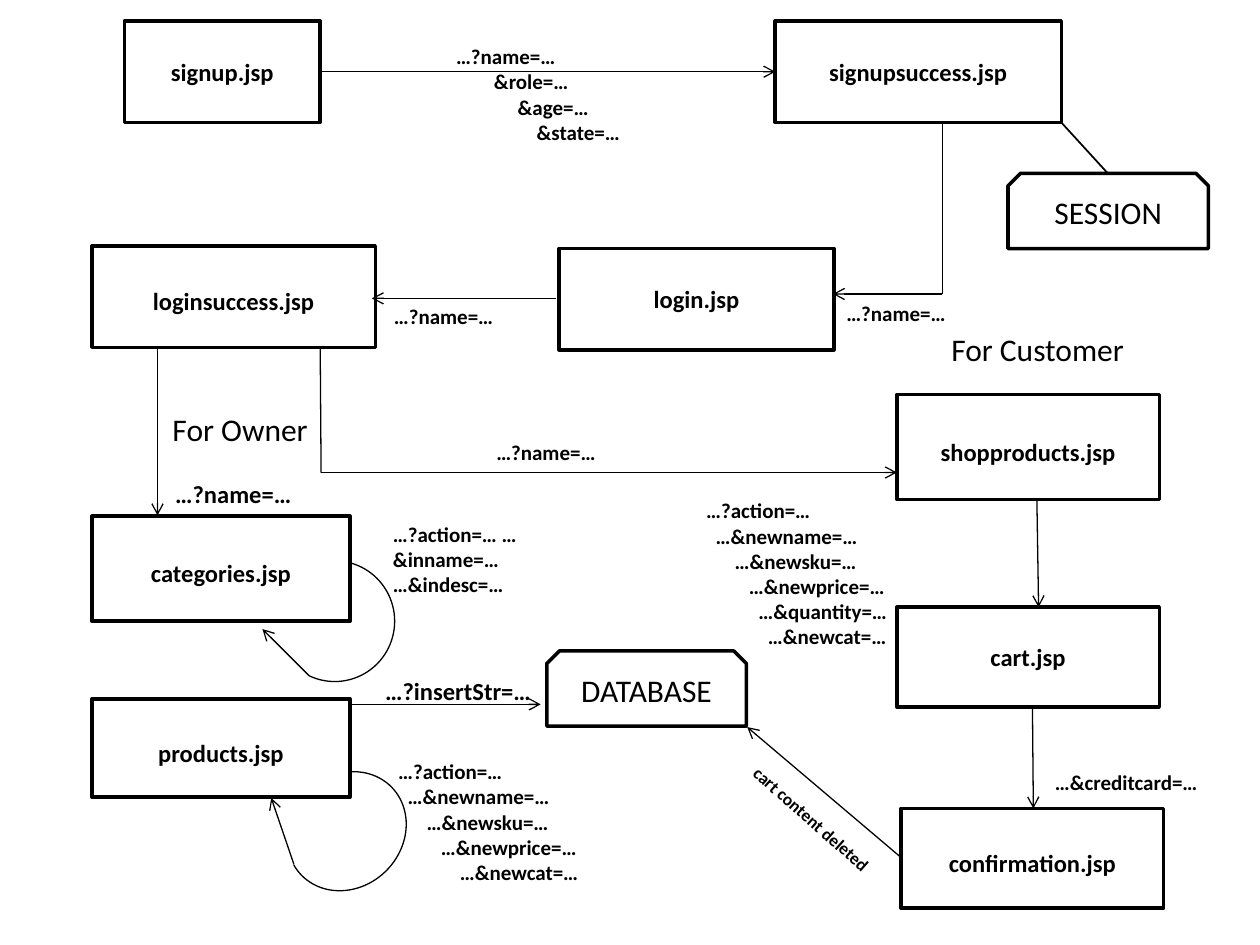
from dataclasses import dataclass

from lxml import etree
from pptx import Presentation
from pptx import util as u
from pptx.dml import color
from pptx.enum import shapes, text
from pptx.oxml import ns


@dataclass(frozen=True)
class Theme:
    """Colours, type sizes and line widths of the flow chart."""
    ink: color.RGBColor = color.RGBColor(0, 0, 0)
    paper: color.RGBColor = color.RGBColor(255, 255, 255)
    font: str = "Calibri"
    heading: int = 18
    body: int = 14
    query: int = 12
    note: int = 10
    space: float = 2.71
    border: float = 2
    link: float = 1
    arrow: float = 0.75


@dataclass(frozen=True)
class Box:
    """A rectangle in points."""
    left: float
    top: float
    width: float
    height: float

    def within(self, left, top, width, height):
        """Return a box placed relative to this one."""
        return Box(self.left + left, self.top + top, width, height)

    def lengths(self):
        """Return left, top, width and height as slide lengths."""
        return [u.Pt(side) for side in (self.left, self.top, self.width, self.height)]


THEME = Theme()
NAME_QUERY = [(0, "…?name=…")]
PRODUCT_QUERY = [(0, "…?action=…"), (2, "…&newname=…"), (6, "…&newsku=…"), (9, "…&newprice=…")]
CATEGORY_FIELD = (13, "…&newcat=…")


def add_span(para, words, size, bold):
    """Add one styled run to a paragraph."""
    span = para.add_run()
    span.text = words
    span.font.name = THEME.font
    span.font.size = u.Pt(size)
    span.font.bold = bold
    span.font.color.rgb = THEME.ink


def add_node(page, box, words, size=THEME.body, bold=True, drop=0,
             outline=shapes.MSO_SHAPE.RECTANGLE):
    """Draw a bordered node with centred text, lowered by drop points."""
    node = page.shapes.add_shape(outline, *box.lengths())
    node.shadow.inherit = False
    node.fill.solid()
    node.fill.fore_color.rgb = THEME.paper
    node.line.color.rgb = THEME.ink
    node.line.width = u.Pt(THEME.border)
    frame = node.text_frame
    frame.word_wrap = True
    frame.vertical_anchor = text.MSO_ANCHOR.MIDDLE
    frame.margin_top = u.Pt(3.6 + 2 * drop)
    para = frame.paragraphs[0]
    para.alignment = text.PP_ALIGN.CENTER
    add_span(para, words, size, bold)


def add_store(page, box, words):
    """Draw a node with snipped top corners for stored data."""
    add_node(page, box, words, THEME.heading, False, drop=-1.2,
             outline=shapes.MSO_SHAPE.SNIP_2_SAME_RECTANGLE)


def add_label(page, box, lines, size=THEME.query, bold=True, wrap=False, turn=0):
    """Write lines of text, each indented by its number of spaces."""
    label = page.shapes.add_textbox(*box.lengths())
    label.rotation = turn
    frame = label.text_frame
    frame.word_wrap = wrap
    for index, (indent, words) in enumerate(lines):
        para = frame.add_paragraph() if index else frame.paragraphs[0]
        if indent:
            para._p.get_or_add_pPr().set("marL", str(u.Pt(indent * THEME.space)))
        add_span(para, words, size, bold)


def add_link(page, region, start, end, width=THEME.arrow, head=True):
    """Connect two points of a region, with an arrowhead at the end if asked."""
    ends = [u.Pt(side) for x, y in (start, end) for side in (region.left + x, region.top + y)]
    link = page.shapes.add_connector(shapes.MSO_CONNECTOR.STRAIGHT, *ends)
    link.line.color.rgb = THEME.ink
    link.line.width = u.Pt(width)
    if head:
        etree.SubElement(link.line._get_or_add_ln(), ns.qn("a:tailEnd"), type="arrow")
    etree.SubElement(link._element.spPr, ns.qn("a:effectLst"))


def add_loop(page, box, start, end, turn=0):
    """Draw an open arc between two angles in degrees."""
    loop = page.shapes.add_shape(shapes.MSO_SHAPE.ARC, *box.lengths())
    loop.adjustments[0], loop.adjustments[1] = start * 0.6, end * 0.6
    loop.rotation = turn
    loop.shadow.inherit = False
    loop.fill.background()
    loop.line.color.rgb = THEME.ink
    loop.line.width = u.Pt(THEME.arrow)


def draw_signup(page, region):
    """Draw the sign-up pages and the session store."""
    add_node(page, region.within(0, 0, 112, 58), "signup.jsp")
    add_node(page, region.within(372, 0, 163.5, 58), "signupsuccess.jsp")
    add_link(page, region, (112, 29), (372, 29))
    add_label(page, region.within(182.5, 9.5, 168, 65), NAME_QUERY + [
        (8, "&role=…"), (13, "&age=…"), (17, "&state=…")], wrap=True)
    add_store(page, region.within(505, 87, 114.5, 43), "SESSION")
    add_link(page, region, (535.5, 58), (562, 87), THEME.link, head=False)


def draw_login(page, region):
    """Draw the login pages and the path that leads to them."""
    add_node(page, region.within(0, 70.5, 162, 58), "loginsuccess.jsp", drop=2.4)
    add_node(page, region.within(267, 72, 157, 58), "login.jsp")
    add_link(page, region, (486, 0), (486, 98), head=False)
    add_link(page, region, (486, 98), (423.5, 98))
    add_link(page, region, (265, 100.5), (160, 100.5))
    for left, top in ((424, 98), (165.5, 100)):
        add_label(page, region.within(left, top, 71, 21.5), NAME_QUERY)


def draw_owner(page, region):
    """Draw the owner's pages, their loops and the database."""
    add_node(page, region.within(0, 95.5, 147.5, 60), "categories.jsp", drop=2.4)
    add_link(page, region, (37.5, 0), (37.5, 95))
    add_label(page, region.within(39, 31, 92, 29), [(0, "For Owner")], THEME.heading, False)
    add_label(page, region.within(40.5, 70.5, 84, 24.5), NAME_QUERY, THEME.body)
    add_loop(page, region.within(104.5, 121, 68.5, 69), 283, 115.5)
    add_link(page, region, (124, 186.5), (97.5, 160))
    add_label(page, region.within(165, 95, 108, 50.5), [
        (0, "…?action=… …&inname=…"), (0, "…&indesc=…")], wrap=True)
    add_node(page, region.within(0, 200, 147.5, 56), "products.jsp", drop=2.4)
    add_loop(page, region.within(109.5, 243.5, 72, 64), 136.8, 11.7, 135.6)
    add_link(page, region, (115.5, 294.5), (102.5, 256.5))
    add_label(page, region.within(168, 230.5, 177, 79), PRODUCT_QUERY + [CATEGORY_FIELD],
              wrap=True)
    add_link(page, region, (147.5, 203), (256.5, 203))
    add_store(page, region.within(260, 172.5, 114, 43), "DATABASE")
    add_label(page, region.within(160.5, 183, 100, 24.5), [(0, "…?insertStr=…")], THEME.body)


def draw_customer(page, region):
    """Draw the customer's path from shop to confirmation."""
    add_label(page, region.within(354, 0, 114, 29), [(0, "For Customer")], THEME.heading, False)
    add_link(page, region, (0.5, 14.5), (1, 85), head=False)
    add_link(page, region, (1, 85), (330, 85))
    add_label(page, region.within(94, 62.5, 71, 21.5), NAME_QUERY)
    add_node(page, region.within(330, 40.5, 150, 60), "shopproducts.jsp", drop=2.4)
    add_label(page, region.within(214, 96, 127.5, 93.5), PRODUCT_QUERY + [
        (11, "…&quantity=…"), CATEGORY_FIELD], wrap=True)
    add_link(page, region, (410, 100), (411, 162))
    add_node(page, region.within(330, 162, 150, 57), "cart.jsp")
    add_link(page, region, (407.5, 219.5), (408, 277))
    add_label(page, region.within(410.5, 251, 98.5, 21.5), [(1, "…&creditcard=…")])
    add_node(page, region.within(332.5, 277, 150, 57), "confirmation.jsp", drop=2.4)
    add_link(page, region, (333, 305.5), (244.5, 230.5))
    add_label(page, region.within(232, 273.5, 98.5, 19.5), [(0, "cart content deleted")],
              THEME.note, turn=41.5)


def main():
    """Build and save the one-page deck."""
    deck = Presentation()
    deck.slide_width, deck.slide_height = u.Pt(720), u.Pt(540)
    page = deck.slides.add_slide(deck.slide_layouts[6])
    draw_signup(page, Box(71, 12, 620, 130))
    draw_login(page, Box(52.5, 70, 495, 130))
    draw_owner(page, Box(52.5, 199.5, 374, 310))
    draw_customer(page, Box(182.5, 185, 510, 335))
    deck.save("out.pptx")


if __name__ == "__main__":
    main()
